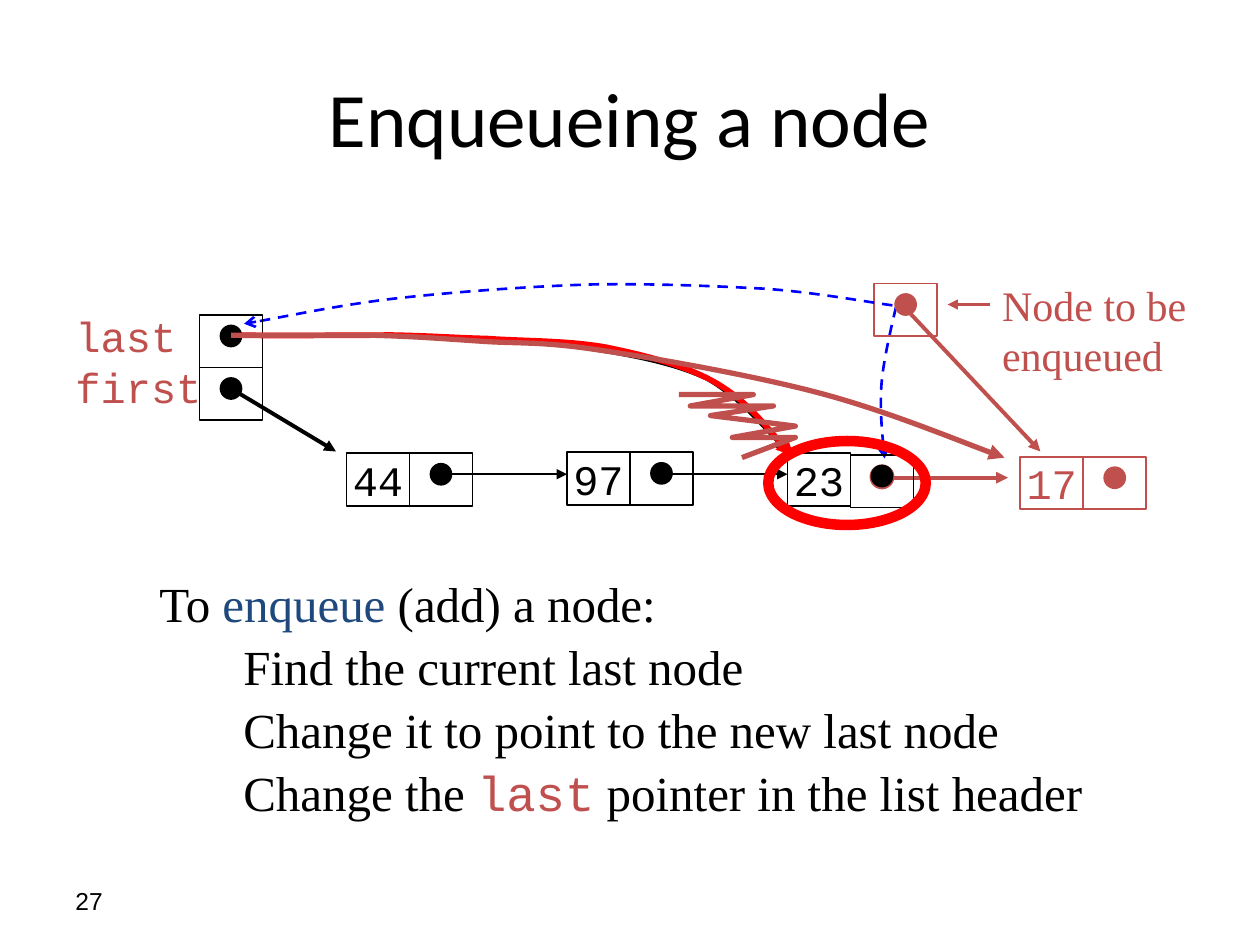
from lxml import etree
from pptx import Presentation
from pptx.dml.color import RGBColor
from pptx.enum.dml import MSO_LINE
from pptx.enum.shapes import MSO_CONNECTOR, MSO_SHAPE
from pptx.enum.text import MSO_ANCHOR, PP_ALIGN
from pptx.oxml.ns import qn
from pptx.util import Pt

RECTANGLE, OVAL = MSO_SHAPE.RECTANGLE, MSO_SHAPE.OVAL
STRAIGHT, DASH = MSO_CONNECTOR.STRAIGHT, MSO_LINE.DASH
MIDDLE, TOP = MSO_ANCHOR.MIDDLE, MSO_ANCHOR.TOP
LEFT, CENTER = PP_ALIGN.LEFT, PP_ALIGN.CENTER

COLORS = {"black": "000000", "brick": "C0504D", "red": "FF0000",
          "blue": "0000FF", "navy": "1F497D"}
SERIF, MONO = "Times New Roman", "Courier New"
CELL_WIDTH, CELL_HEIGHT, DOT = 36, 30, 12
DOT_DROP = 12  # cell top to dot centre

# Content: nodes are (value, left, top of value cell, top of link cell, color)
TITLE = "Enqueueing a node"
NEW_NODE = ("17", 583, 261, 261, "brick")
NODES = [("44", 198, 259, 259, "black"), ("97", 324, 258.5, 258.5, "black"),
         ("23", 450, 259, 260, "black")]
HEADER_CELLS = [(114, 180), (114, 210)]
NEW_POINTER_CELL = (499.5, 162)

STEPS = [
    (84, 324, 438, [("To ", {}), ("enqueue", {"color": "navy"}), (" (add) a node:", {})]),
    (132, 360, 414, [("Find the current last node", {})]),
    (132, 396, 498, [("Change it to point to the new last node", {})]),
    (132, 432, 498, [("Change the ", {}), ("last", {"font": MONO, "color": "brick"}),
                     (" pointer in the list header", {})]),
]

# Curves: start point, then two control points and an end point per segment
TO_CURRENT_LAST = [(512, 175.5), (510.5, 182), (505.5, 202.5), (504, 216.5),
                   (502.5, 231), (504.5, 252.5), (505.5, 262)]
TO_HEADER = [(510, 174.5), (498, 173), (466, 167), (437, 165), (409, 163.5), (374.5, 162),
             (340, 162.5), (305, 163.5), (264, 166.5), (231, 170), (197.5, 173.5),
             (158.5, 182), (139.5, 185)]
OLD_LAST = [(132, 192), (155, 192), (186.5, 191.5), (210, 192), (233, 192), (251.5, 192),
            (273, 193.5), (294, 194.5), (316, 195), (338.5, 199.5), (360, 203),
            (385, 207.5), (404, 216.5), (422.5, 227), (440.5, 249), (450.5, 258)]
FIND_LAST = [(138, 191.5), (152.5, 192), (201.5, 191.5), (224.5, 191.5), (248.5, 192),
             (258.5, 193), (278.5, 193.5), (299, 195), (324.5, 194.5), (346.5, 198.5),
             (368.5, 203), (392.5, 209), (409.5, 219), (427.5, 229.5), (444, 252),
             (453.5, 260.5)]
NEW_LAST = [(132, 191.5), (144.5, 191.5), (186, 191.5), (209.5, 191.5), (233.5, 192),
            (252.5, 193.5), (275, 195), (297.5, 196.5), (309.5, 195), (342, 200),
            (373.5, 204.5), (427.5, 214), (466, 224), (504.5, 234), (551.5, 253.5),
            (574, 261.5)]
STRIKE_OUT = [(388, 225.5), (430.5, 225.5), (394.5, 232), (442, 232), (406, 237.5),
              (454.5, 243.5), (418.5, 250), (454.5, 250), (424, 261.5)]


def rgb(color):
    return RGBColor.from_string(COLORS[color])


def write(frame, runs, size=24, font=SERIF, color="black", align=LEFT, anchor=TOP,
          wrap=True, spaced=False):
    frame.word_wrap, frame.vertical_anchor = wrap, anchor
    paragraph = frame.paragraphs[0]
    paragraph.alignment = align
    if spaced:  # half a line before the paragraph
        paragraph.space_before = Pt(1)
        spacing = paragraph._p.pPr.find(qn("a:spcBef"))
        spacing.remove(spacing[0])
        etree.SubElement(spacing, qn("a:spcPct"), val="50000")
    for text, changes in [(runs, {})] if isinstance(runs, str) else runs:
        for index, line in enumerate(text.split("\n")):
            if index:
                paragraph.add_line_break()
            run = paragraph.add_run()
            run.text = line
            run.font.size = Pt(size)
            run.font.name = changes.get("font", font)
            run.font.color.rgb = rgb(changes.get("color", color))


def add_text(left, top, width, height, runs, **text_format):
    box = slide.shapes.add_textbox(Pt(left), Pt(top), Pt(width), Pt(height))
    write(box.text_frame, runs, **text_format)


def style_line(shape, color, width, head=None, dash=None):
    shape.line.color.rgb = rgb(color)
    shape.line.width = Pt(width)
    if dash:
        shape.line.dash_style = dash
    if head:
        etree.SubElement(shape.line._get_or_add_ln(), qn("a:tailEnd"), type=head)


def add_outline(kind, left, top, width, height, color, line=1, filled=False):
    shape = slide.shapes.add_shape(kind, Pt(left), Pt(top), Pt(width), Pt(height))
    shape.shadow.inherit = False
    if filled:
        shape.fill.solid()
        shape.fill.fore_color.rgb = rgb(color)
    else:
        shape.fill.background()
    style_line(shape, color, line)
    return shape


def add_cell(left, top, color, value=None):
    cell = add_outline(RECTANGLE, left, top, CELL_WIDTH, CELL_HEIGHT, color)
    if value:
        write(cell.text_frame, value, font=MONO, color=color, align=CENTER,
              anchor=MIDDLE, wrap=False)
    else:
        add_outline(OVAL, left + (CELL_WIDTH - DOT) / 2, top + DOT_DROP - DOT / 2,
                    DOT, DOT, color, filled=True)


def add_node(value, left, value_top, link_top, color):
    add_cell(left, value_top, color, value)
    add_cell(left + CELL_WIDTH, link_top, color)


def add_arrow(start, end, color, width):
    arrow = slide.shapes.add_connector(STRAIGHT, *map(Pt, start + end))
    etree.SubElement(arrow._element.spPr, qn("a:effectLst"))
    style_line(arrow, color, width, "triangle")


def add_path(points, color, width, head=None, dash=None, curved=True):
    points = [(Pt(x), Pt(y)) for x, y in points]
    builder = slide.shapes.build_freeform(*points[0])
    builder.add_line_segments(points[1:], close=False)
    shape = builder.convert_to_shape()
    shape.shadow.inherit = False
    shape.fill.background()
    style_line(shape, color, width, head, dash)
    if curved:  # every three straight segments become one Bezier segment
        outline = next(shape._element.iter(qn("a:path")))
        segments = outline.findall(qn("a:lnTo"))
        for index in range(0, len(segments), 3):
            curve = etree.SubElement(outline, qn("a:cubicBezTo"))
            for segment in segments[index:index + 3]:
                curve.append(segment[0])
                outline.remove(segment)


presentation = Presentation()
presentation.slide_width, presentation.slide_height = Pt(720), Pt(540)
slide = presentation.slides.add_slide(presentation.slide_layouts[5])

# Title and page number
title = slide.shapes.title
title.left, title.top, title.width, title.height = Pt(36), Pt(21.6), Pt(648), Pt(90)
write(title.text_frame, TITLE, size=44, font="Calibri", align=CENTER, anchor=MIDDLE)
add_text(36, 500.4, 168, 28.8, "27", size=14, font="Arial", anchor=MIDDLE)

# New node and its pointers
add_outline(OVAL, 498, 266.5, DOT, DOT, "brick", 2.25, filled=True)
add_arrow((504, 273), (576, 273), "brick", 2.25)
add_path(TO_CURRENT_LAST, "blue", 1.5, "arrow", DASH)
add_node(*NEW_NODE)
add_cell(*NEW_POINTER_CELL, "brick")
add_text(565.5, 156, 120, 65, "Node to be enqueued", color="brick", spaced=True)
add_arrow((565.5, 174), (541.5, 174), "brick", 1.5)
add_arrow((520.5, 179.5), (594.5, 258), "brick", 2.25)
add_path(TO_HEADER, "blue", 1.5, "arrow", DASH)

# Steps
for left, top, width, runs in STEPS:
    add_text(left, top, width, 41, runs, size=28, spaced=True)

# List header and linked nodes
add_path(OLD_LAST, "black", 2.25, "triangle")
for left, top in HEADER_CELLS:
    add_cell(left, top, "black")
add_text(36, 174, 96, 65.5, "last\nfirst", font=MONO, color="brick", spaced=True)
add_arrow((132, 222), (192, 258), "black", 2.25)
for node in NODES:
    add_node(*node)
for node, following in zip(NODES, NODES[1:]):
    add_arrow((node[1] + 1.5 * CELL_WIDTH, 271), (following[1], 271), "black", 1)

# Finding and replacing the last pointer
add_path(FIND_LAST, "red", 3.25, "triangle")
add_outline(OVAL, 439, 252, 90, 48, "red", 6)
add_path(NEW_LAST, "brick", 3, "triangle")
add_path(STRIKE_OUT, "brick", 3, curved=False)

presentation.save("out.pptx")
